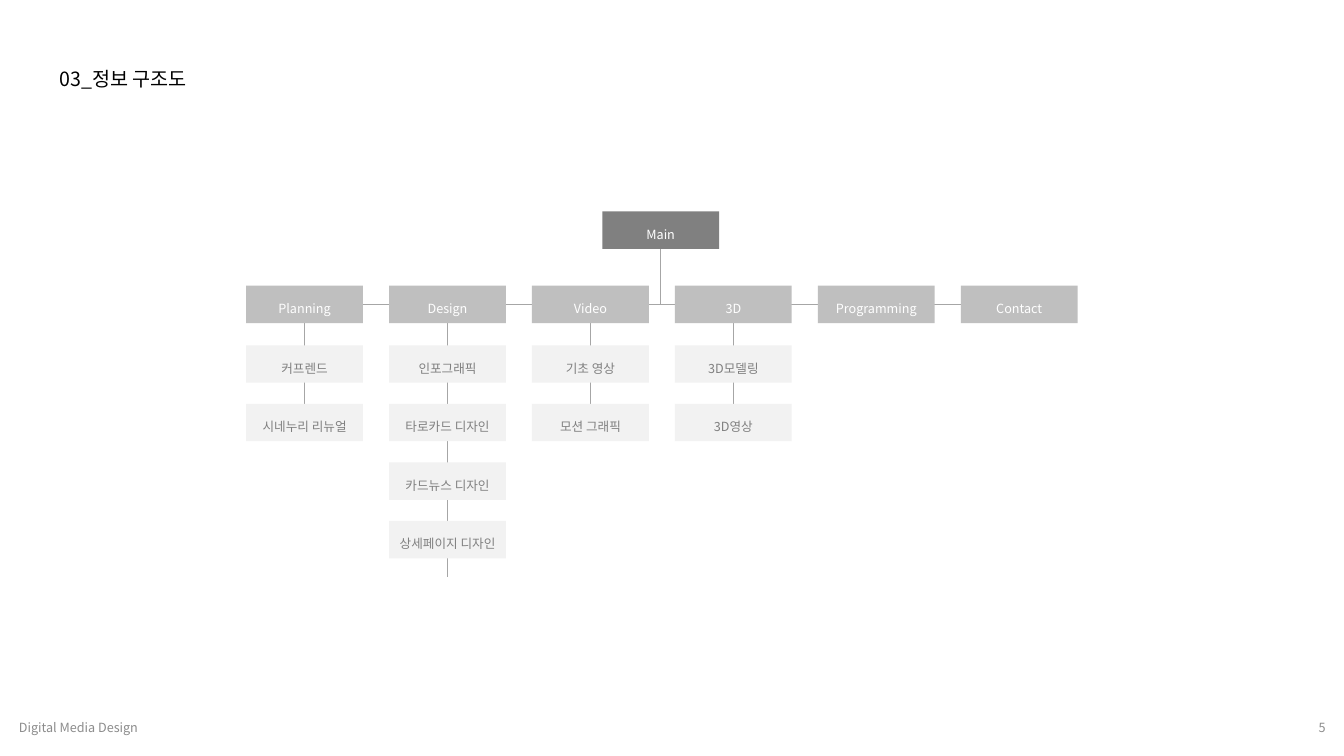
from lxml import etree
from pptx import Presentation
from pptx.dml.color import RGBColor
from pptx.enum.shapes import MSO_CONNECTOR, MSO_SHAPE
from pptx.enum.text import MSO_ANCHOR, MSO_AUTO_SIZE, PP_ALIGN
from pptx.oxml.ns import qn
from pptx.util import Pt

RECTANGLE = MSO_SHAPE.RECTANGLE
STRAIGHT = MSO_CONNECTOR.STRAIGHT
NO_AUTO_SIZE = MSO_AUTO_SIZE.NONE
TOP, MIDDLE = MSO_ANCHOR.TOP, MSO_ANCHOR.MIDDLE
LEFT, CENTER, RIGHT = PP_ALIGN.LEFT, PP_ALIGN.CENTER, PP_ALIGN.RIGHT

BLACK = RGBColor(0x00, 0x00, 0x00)
WHITE = RGBColor(0xFF, 0xFF, 0xFF)
DARK_GRAY = RGBColor(0x80, 0x80, 0x80)
FOOTER_GRAY = RGBColor(0x8C, 0x8C, 0x8C)
LINE_GRAY = RGBColor(0xA6, 0xA6, 0xA6)
MENU_GRAY = RGBColor(0xBF, 0xBF, 0xBF)
PAGE_GRAY = RGBColor(0xF2, 0xF2, 0xF2)

# Site map geometry in points
BOX_WIDTH, BOX_HEIGHT = 83.5, 26.8
MAIN_LEFT, MAIN_TOP = 430.2, 151
MENU_LEFT, MENU_TOP, MENU_PITCH = 175.8, 204.1, 102.1
PAGE_TOP, PAGE_PITCH = 246.6, 41.8
BUS_Y = 217.4

# Menu name, pages below it, top and bottom of its vertical line
MENUS = [
    ("Planning", ["커프렌드", "시네누리 리뉴얼"], 227.5, 301.7),
    ("Design", ["인포그래픽", "타로카드 디자인", "카드뉴스 디자인",
                "상세페이지 디자인"], 206, 411.8),
    ("Video", ["기초 영상", "모션 그래픽"], 219, 301.7),
    ("3D", ["3D모델링", "3D영상"], 227.5, 301.7),
    ("Programming", [], None, None),
    ("Contact", [], None, None),
]


class SlideBuilder:
    font_name = "Noto Sans CJK KR"

    def __init__(self, slide):
        self.slide = slide

    def set_text(self, shape, text, color, size=9, align=LEFT, anchor=TOP,
                 spacing=1.5):
        frame = shape.text_frame
        frame.text = text
        frame.auto_size = NO_AUTO_SIZE
        frame.vertical_anchor = anchor
        paragraph = frame.paragraphs[0]
        paragraph.alignment = align
        paragraph.line_spacing = spacing
        for run in paragraph.runs:
            run.font.name = self.font_name
            run.font.size = Pt(size)
            run.font.color.rgb = color
            east_asian = etree.SubElement(run.font._element, qn("a:ea"))
            east_asian.set("typeface", self.font_name)

    def title(self, text, left, top, width, height):
        shape = self.slide.shapes.title
        shape.left, shape.top = Pt(left), Pt(top)
        shape.width, shape.height = Pt(width), Pt(height)
        self.set_text(shape, text, BLACK, size=14)
        shape.text_frame.word_wrap = False

    def footer(self, text, left, align):
        shape = self.slide.shapes.add_textbox(
            Pt(left), Pt(505.3), Pt(216), Pt(28.8))
        self.set_text(shape, text, FOOTER_GRAY, align=align, anchor=MIDDLE,
                      spacing=1)
        shape.text_frame.word_wrap = True

    def line(self, x1, y1, x2, y2):
        connector = self.slide.shapes.add_connector(
            STRAIGHT, Pt(x1), Pt(y1), Pt(x2), Pt(y2))
        connector.line.color.rgb = LINE_GRAY
        connector.line.width = Pt(1)
        etree.SubElement(connector._element.spPr, qn("a:effectLst"))

    def box(self, text, left, top, fill, color):
        shape = self.slide.shapes.add_shape(
            RECTANGLE, Pt(left), Pt(top), Pt(BOX_WIDTH), Pt(BOX_HEIGHT))
        shape.shadow.inherit = False
        shape.fill.solid()
        shape.fill.fore_color.rgb = fill
        shape.line.fill.background()
        self.set_text(shape, text, color, align=CENTER)
        frame = shape.text_frame
        frame.word_wrap = True
        frame.margin_left = frame.margin_right = frame.margin_bottom = 0
        frame.margin_top = Pt(5.5)


def main():
    presentation = Presentation()
    presentation.slide_width, presentation.slide_height = Pt(960), Pt(540)
    slide = presentation.slides.add_slide(presentation.slide_layouts[5])
    builder = SlideBuilder(slide)

    # Title and footer
    builder.title("03_정보 구조도", 35.3, 36, 123.8, 30.2)
    builder.footer("5", 738, RIGHT)
    builder.footer("Digital Media Design", 6.5, LEFT)

    # Lines run behind the boxes
    menu_lefts = [MENU_LEFT + i * MENU_PITCH for i in range(len(MENUS))]
    main_center = MAIN_LEFT + BOX_WIDTH / 2
    builder.line(main_center, MAIN_TOP + BOX_HEIGHT / 2, main_center, BUS_Y)
    builder.line(213.8, BUS_Y, 722.2, BUS_Y)
    for left, (_, pages, line_top, line_bottom) in zip(menu_lefts, MENUS):
        if pages:
            center = left + BOX_WIDTH / 2
            builder.line(center, line_top, center, line_bottom)

    # Main box, menus and their pages
    builder.box("Main", MAIN_LEFT, MAIN_TOP, DARK_GRAY, WHITE)
    for left, (menu, pages, _, _) in zip(menu_lefts, MENUS):
        builder.box(menu, left, MENU_TOP, MENU_GRAY, WHITE)
        for row, page in enumerate(pages):
            builder.box(page, left, PAGE_TOP + row * PAGE_PITCH, PAGE_GRAY,
                        DARK_GRAY)

    presentation.save("out.pptx")


if __name__ == "__main__":
    main()
